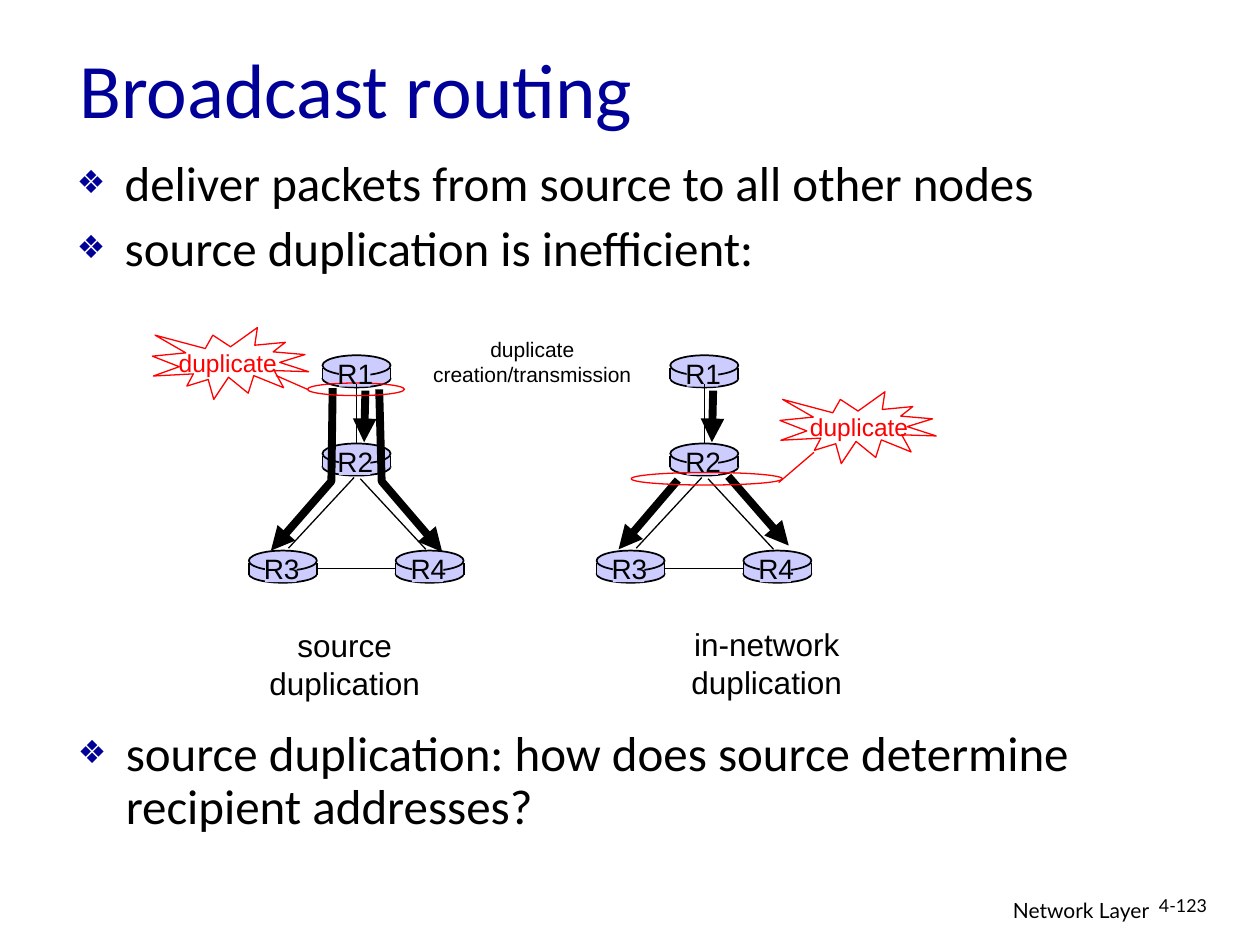
from pptx import Presentation, util as u
from pptx.dml.color import RGBColor
from pptx.enum import shapes, text
from pptx.oxml.ns import qn
from lxml import etree

theme = dict(
    black="000000", red="FF0000", navy="000099", router="CCCCFF",
    head="Calibri", label="Arial", foot="Lato",
    title=44, body=28, caption=18, name=16, callout=14, note=12, page=10.2,
    thin=0.75, edge=1, thick=4.5,
)
rgb = {k: RGBColor.from_string(theme[k]) for k in ("black", "red", "navy", "router")}

prs = Presentation()
prs.slide_width, prs.slide_height = u.Inches(10), u.Inches(7.5)
s = prs.slides.add_slide(prs.slide_layouts[1])
col, row = prs.slide_width / 100, prs.slide_height / 75


def grid(*v):
    return [round(n * (row if i % 2 else col)) for i, n in enumerate(v)]


def write(sp, lines, font, size, color, align="LEFT", wrap=True, bullet=False):
    tf = sp.text_frame
    tf.word_wrap = wrap
    tf.auto_size = text.MSO_AUTO_SIZE.NONE if wrap else text.MSO_AUTO_SIZE.SHAPE_TO_FIT_TEXT
    for i, line in enumerate(lines):
        p = tf.add_paragraph() if i else tf.paragraphs[0]
        p.alignment = text.PP_ALIGN[align]
        r = p.add_run()
        r.text = line
        r.font.name, r.font.size = theme[font], u.Pt(theme[size])
        r.font.color.rgb = rgb[color]
        if bullet:
            p.line_spacing, p.space_before = 0.9, u.Pt(7)
            pPr = p._p.get_or_add_pPr()
            pPr.set("marL", str(u.Inches(0.38)))
            pPr.set("indent", str(-u.Inches(0.38)))
            clr = etree.SubElement(pPr, qn("a:buClr"))
            etree.SubElement(clr, qn("a:srgbClr"), val=theme["navy"])
            etree.SubElement(pPr, qn("a:buSzPct"), val="65000")
            etree.SubElement(pPr, qn("a:buFont"), typeface=theme["label"])
            etree.SubElement(pPr, qn("a:buChar"), char="❖")


title, body = s.placeholders
title.left, title.top, title.width, title.height = grid(5.3, 1.9, 85, 10.1)
title.text_frame.vertical_anchor = text.MSO_ANCHOR.MIDDLE
write(title, ["Broadcast routing"], "head", "title", "navy")
body.left, body.top, body.width, body.height = grid(5.1, 12.1, 93.8, 10.6)
write(body, ["deliver packets from source to all other nodes",
             "source duplication is inefficient:"], "head", "body", "black", bullet=True)

oval, rect = shapes.MSO_SHAPE.OVAL, shapes.MSO_SHAPE.RECTANGLE
burst = shapes.MSO_SHAPE.EXPLOSION1
routers = {"R1": (25.6, 28.2), "R2": (25.6, 35.2), "R3": (19.75, 43.7), "R4": (31.4, 43.7)}
parts = [(oval, 0, 1.15, 5.4, 1.4, True), (rect, 0, 1, 5.4, 0.9, False),
         (oval, 0, 0, 5.4, 1.6, True), (rect, 1.3, 0.2, 2.5, 2.3, False)]
links = [(28.3, 30.5, 28.3, 35.2), (28.1, 37.9, 22.9, 43.5),
         (28.6, 38, 33.8, 43.6), (25.2, 45.1, 31.4, 45.1)]
labels, strokes = [], []

for dx in (0, 27.6):
    for name, (x, y) in routers.items():
        x += dx
        for kind, px, py, w, h, outlined in parts:
            sp = s.shapes.add_shape(kind, *grid(x + px, y + py, w, h))
            sp.shadow.inherit = False
            sp.fill.solid()
            sp.fill.fore_color.rgb = rgb["router"]
            if outlined:
                sp.line.color.rgb, sp.line.width = rgb["black"], u.Pt(theme["edge"])
            else:
                sp.line.fill.background()
        strokes += [((ex, y + 1, ex, y + 1.9), "black", "edge") for ex in (x, x + 5.4)]
        labels.append(((x + 0.2, y - 0.4, 4.8, 3.7), [name], "label", "name", "black", "CENTER", False))
    strokes += [((a + dx, b, c + dx, d), "black", "thin") for a, b, c, d in links]
    strokes.append(((29 + dx, 31, 28.9 + dx, 35.1), "black", "thick"))
strokes += [((24.4, 30.9, 21.9, 29.8), "red", "thin"), ((64.6, 35.9, 61.8, 38.3), "red", "thin")]

for ends, color, width in strokes:
    sp = s.shapes.add_connector(shapes.MSO_CONNECTOR.STRAIGHT, *grid(*ends))
    sp.line.color.rgb, sp.line.width = rgb[color], u.Pt(theme[width])
    if width == "thick":
        etree.SubElement(sp.line._get_or_add_ln(), qn("a:tailEnd"), type="triangle")
    etree.SubElement(sp._element.spPr, qn("a:effectLst"))

flows = [[(30.1, 30.9), (30.3, 38.2), (35.1, 43.8)], [(26.4, 30.8), (26.3, 38.2), (21.5, 43.7)],
         [(57.8, 37.8), (62.6, 43.3)], [(53.8, 38.1), (49.1, 43.6)]]
for start, *rest in flows:
    fb = s.shapes.build_freeform(*grid(*start))
    fb.add_line_segments([grid(*pt) for pt in rest], close=False)
    sp = fb.convert_to_shape()
    sp.shadow.inherit = False
    sp.fill.background()
    sp.line.color.rgb, sp.line.width = rgb["black"], u.Pt(theme["thick"])
    etree.SubElement(sp.line._get_or_add_ln(), qn("a:tailEnd"), type="triangle")

for kind, box in [(burst, (12.1, 26, 12.4, 5.7)), (oval, (24.4, 30.4, 7.7, 1)),
                  (burst, (61.9, 31.1, 12.4, 5.7)), (oval, (50.1, 37.5, 12, 1))]:
    sp = s.shapes.add_shape(kind, *grid(*box))
    sp.shadow.inherit = False
    sp.fill.background()
    sp.line.color.rgb, sp.line.width = rgb["red"], u.Pt(theme["thin"])

labels += [
    ((19.9, 49.2, 14.9, 7), ["source", "duplication"], "label", "caption", "black", "CENTER", False),
    ((53.4, 49.1, 14.9, 7), ["in-network", "duplication"], "label", "caption", "black", "CENTER", False),
    ((32.9, 26.2, 18.7, 5), ["duplicate", "creation/transmission"], "label", "note", "black", "CENTER", False),
    ((13.2, 27.1, 10.2, 3.4), ["duplicate"], "label", "callout", "red", "LEFT", False),
    ((63.3, 32.2, 10.2, 3.4), ["duplicate"], "label", "callout", "red", "LEFT", False),
    ((5.2, 57.4, 88.8, 10.6), ["source duplication: how does source determine recipient addresses?"],
     "head", "body", "black", "LEFT", True, True),
    ((60.5, 70.7, 31.7, 3.1), ["Network Layer"], "foot", "note", "black", "RIGHT"),
    ((91, 70.5, 7.4, 3), ["4-123"], "foot", "page", "black"),
]
for box, *style in labels:
    write(s.shapes.add_textbox(*grid(*box)), *style)

prs.save("out.pptx")
